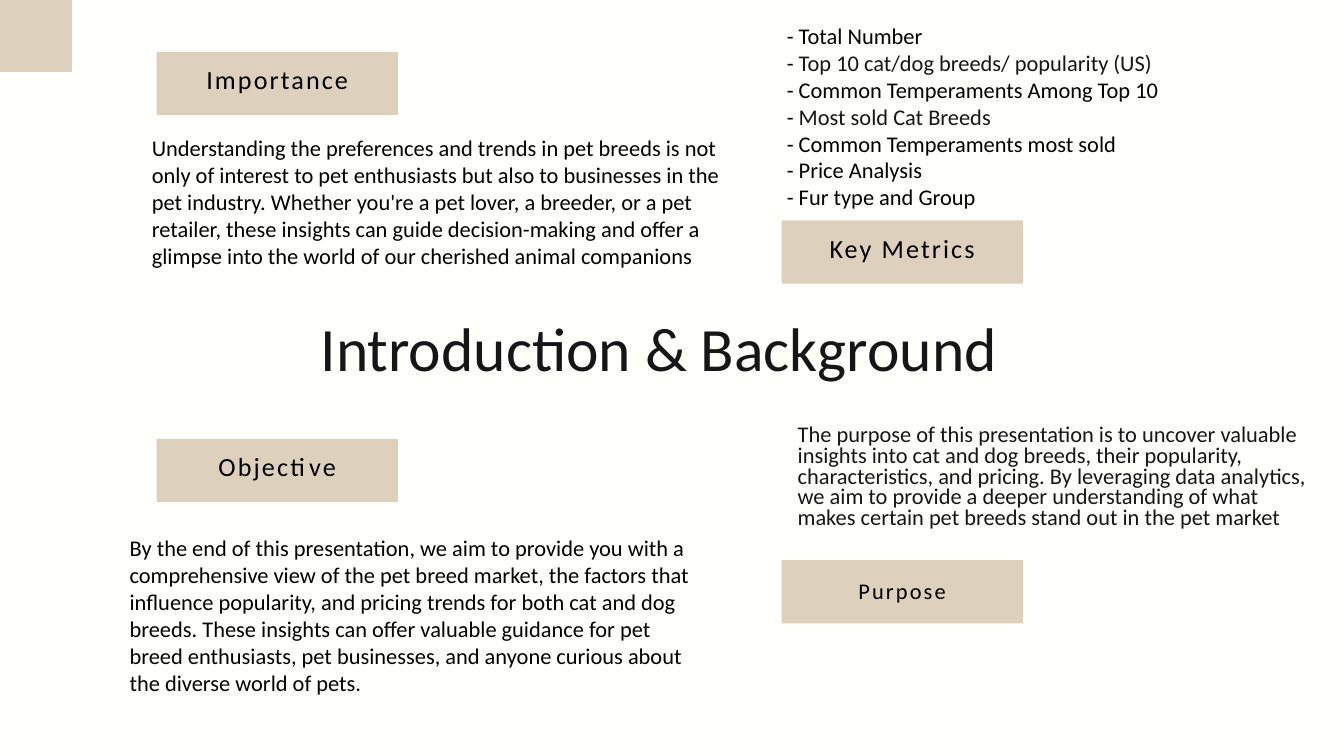
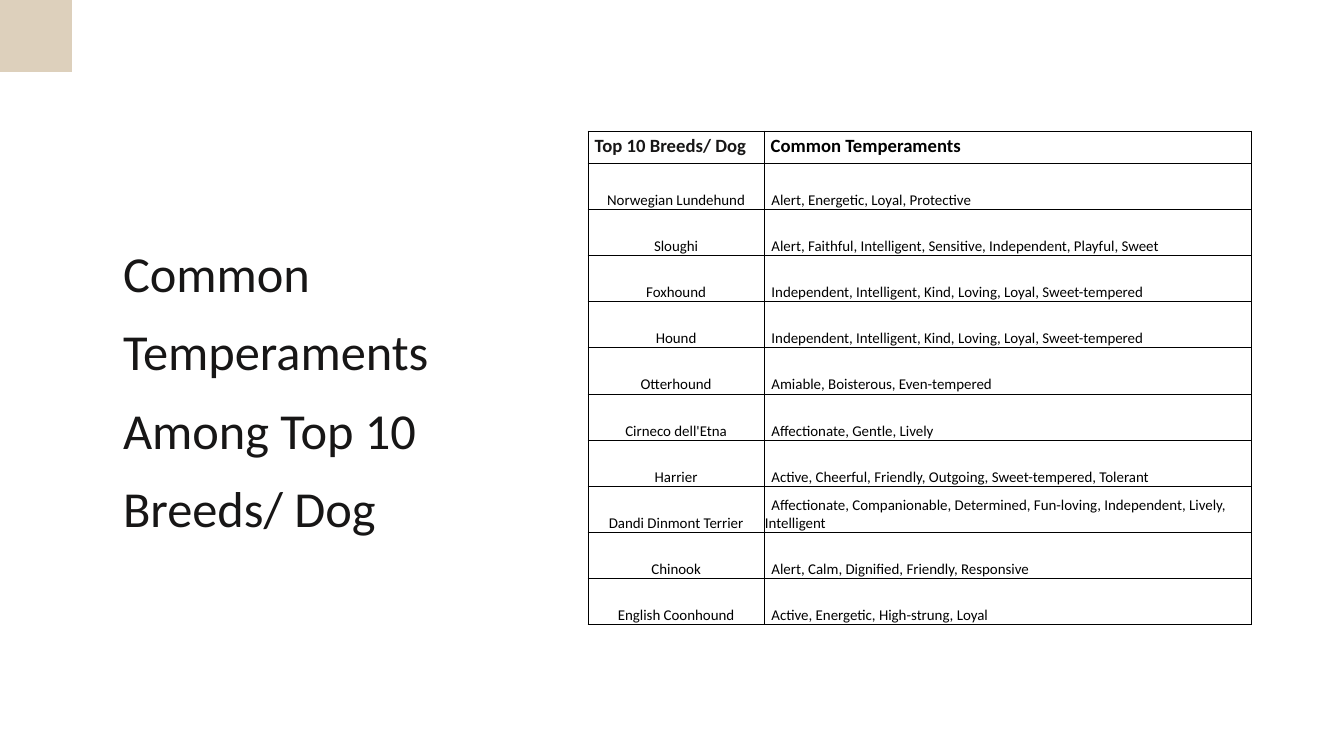
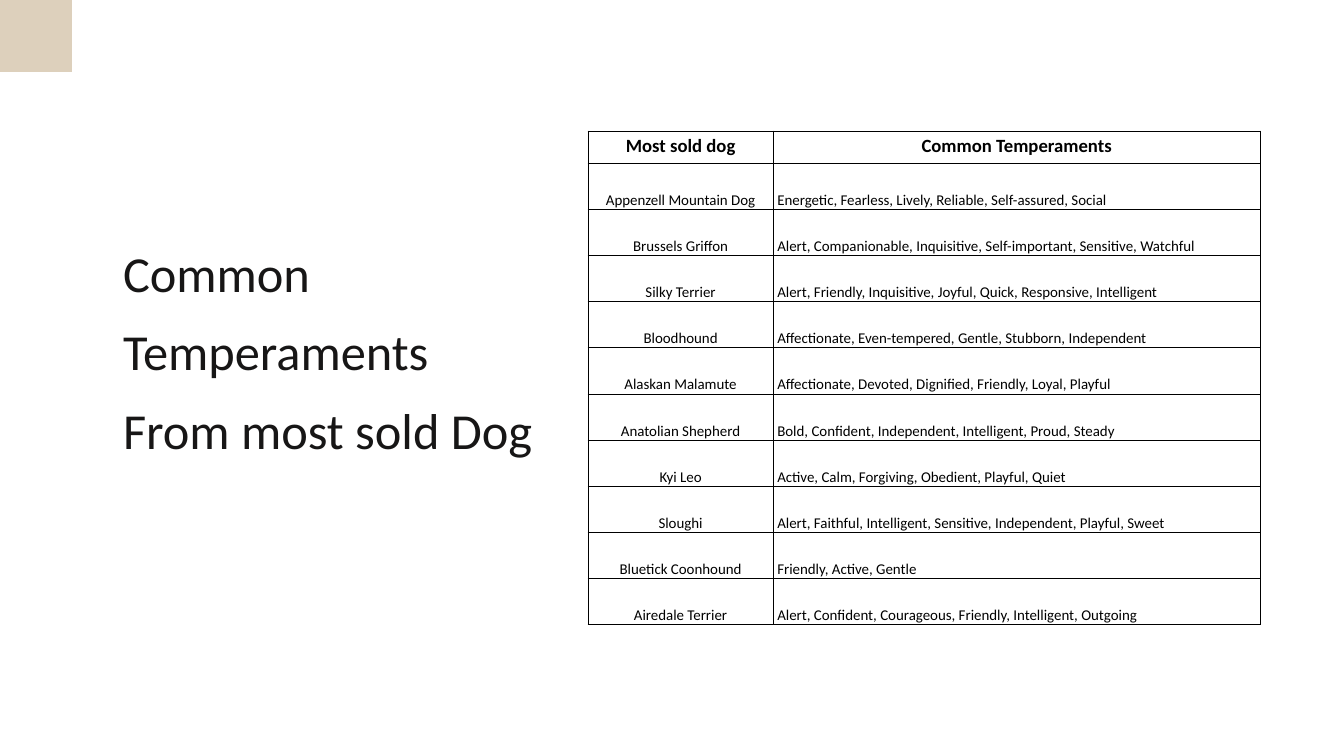
from lxml import etree
from pptx import Presentation
from pptx.dml.color import RGBColor
from pptx.enum.shapes import MSO_SHAPE
from pptx.enum.text import MSO_ANCHOR, MSO_AUTO_SIZE, PP_ALIGN
from pptx.oxml.ns import qn
from pptx.util import Cm, Pt

RECT = MSO_SHAPE.RECTANGLE
TOP, MIDDLE, BOTTOM = MSO_ANCHOR.TOP, MSO_ANCHOR.MIDDLE, MSO_ANCHOR.BOTTOM
LEFT, CENTER = PP_ALIGN.LEFT, PP_ALIGN.CENTER
FIXED = MSO_AUTO_SIZE.NONE

FONT = "Calibri"
COLORS = {"cream": "FFFFFC", "white": "FFFFFF", "sand": "DDD0BC",
          "ink": "171616", "black": "000000"}
PAD = (0.25, 0.13, 0.25, 0.13)
FLUSH = (0, 0, 0, 0)
TIGHT = (0.03, 0.03, 0.03, 0)

METRICS = [
    "- Total Number",
    [("-", "black"), (" Top 10 cat/dog breeds/ popularity (US)", "ink")],
    "- Common Temperaments Among Top 10",
    [("- ", "black"), ("Most sold Cat Breeds", "ink")],
    "- Common Temperaments most sold",
    "- Price Analysis",
    "- Fur type and Group",
]
TOPICS = [
    {"tag": "Importance", "at": (5.92, 1.96), "box": (-0.43, 2.99, 22.05, 5.38),
     "body": ["Understanding the preferences and trends in pet breeds is not only of "
              "interest to pet enthusiasts but also to businesses in the pet industry. "
              "Whether you're a pet lover, a breeder, or a pet retailer, these insights "
              "can guide decision-making and offer a glimpse into the world of our "
              "cherished animal companions"]},
    {"tag": "Key Metrics", "at": (29.54, 8.33), "box": (-0.05, -7.62, 17.12, 7.44),
     "body": METRICS},
    {"tag": "Objective", "at": (5.92, 16.59), "box": (-1.27, 3.48, 22.05, 6.4),
     "body": ["By the end of this presentation, we aim to provide you with a "
              "comprehensive view of the pet breed market, the factors that influence "
              "popularity, and pricing trends for both cat and dog breeds. These "
              "insights can offer valuable guidance for pet breed enthusiasts, pet "
              "businesses, and anyone curious about the diverse world of pets."]},
    {"tag": "Purpose", "at": (29.54, 21.18), "box": (0.61, -5.08, 19.79, 3.94),
     "size": 24, "style": {"color": "ink", "line": 22.4, "pad": FLUSH},
     "body": ["The purpose of this presentation is to uncover valuable insights into "
              "cat and dog breeds, their popularity, characteristics, and pricing. By "
              "leveraging data analytics, we aim to provide a deeper understanding of "
              "what makes certain pet breeds stand out in the pet market"]},
]
TOP_TEN = [
    ("Norwegian Lundehund", "Alert, Energetic, Loyal, Protective"),
    ("Sloughi", "Alert, Faithful, Intelligent, Sensitive, Independent, Playful, Sweet"),
    ("Foxhound", "Independent, Intelligent, Kind, Loving, Loyal, Sweet-tempered"),
    ("Hound", "Independent, Intelligent, Kind, Loving, Loyal, Sweet-tempered"),
    ("Otterhound", "Amiable, Boisterous, Even-tempered"),
    ("Cirneco dell'Etna", "Affectionate, Gentle, Lively"),
    ("Harrier", "Active, Cheerful, Friendly, Outgoing, Sweet-tempered, Tolerant"),
    ("Dandi Dinmont Terrier", "Affectionate, Companionable, Determined, Fun-loving, "
                              "Independent, Lively, Intelligent"),
    ("Chinook", "Alert, Calm, Dignified, Friendly, Responsive"),
    ("English Coonhound", "Active, Energetic, High-strung, Loyal"),
]
MOST_SOLD = [
    ("Appenzell Mountain Dog",
     "Energetic, Fearless, Lively, Reliable, Self-assured, Social"),
    ("Brussels Griffon",
     "Alert, Companionable, Inquisitive, Self-important, Sensitive, Watchful"),
    ("Silky Terrier",
     "Alert, Friendly, Inquisitive, Joyful, Quick, Responsive, Intelligent"),
    ("Bloodhound", "Affectionate, Even-tempered, Gentle, Stubborn, Independent"),
    ("Alaskan Malamute", "Affectionate, Devoted, Dignified, Friendly, Loyal, Playful"),
    ("Anatolian Shepherd", "Bold, Confident, Independent, Intelligent, Proud, Steady"),
    ("Kyi Leo", "Active, Calm, Forgiving, Obedient, Playful, Quiet"),
    ("Sloughi", "Alert, Faithful, Intelligent, Sensitive, Independent, Playful, Sweet"),
    ("Bluetick Coonhound", "Friendly, Active, Gentle"),
    ("Airedale Terrier",
     "Alert, Confident, Courageous, Friendly, Intelligent, Outgoing"),
]


def rgb(name):
    """Return the named colour."""
    return RGBColor.from_string(COLORS[name])


def write(frame, paras, size=24, color="black", bold=False, align=LEFT,
          line=None, track=0, indent=0):
    """Fill a text frame with paragraphs, each a string or a list of coloured runs."""
    for i, item in enumerate(paras):
        para = frame.paragraphs[0] if i == 0 else frame.add_paragraph()
        para.alignment = align
        if line:
            para.line_spacing = Pt(line)
        if indent:
            para._p.get_or_add_pPr().set("indent", str(Cm(indent)))
        for text, hue in [(item, color)] if isinstance(item, str) else item:
            run = para.add_run()
            run.text = text
            font = run.font
            font.name, font.size, font.bold = FONT, Pt(size), bold
            font.color.rgb = rgb(hue)
            if track:
                run._r.get_or_add_rPr().set("spc", str(round(track * 100)))


def inset(item, pad):
    """Set the left, top, right and bottom margins of a frame or cell."""
    (item.margin_left, item.margin_top,
     item.margin_right, item.margin_bottom) = map(Cm, pad)


def setup(frame, pad=PAD, anchor=TOP):
    """Make a frame wrap at a fixed size."""
    frame.word_wrap, frame.auto_size = True, FIXED
    frame.vertical_anchor = anchor
    inset(frame, pad)


def block(slide, box):
    """Draw a plain sand rectangle."""
    shape = slide.shapes.add_shape(RECT, *map(Cm, box))
    shape.shadow.inherit = False
    shape.fill.solid()
    shape.fill.fore_color.rgb = rgb("sand")
    shape.line.fill.background()
    return shape


def start(deck, back, box, title, size):
    """Add a slide with its background, corner square and title."""
    slide = deck.slides.add_slide(deck.slide_layouts[5])
    slide.background.fill.solid()
    slide.background.fill.fore_color.rgb = rgb(back)
    block(slide, (0, 0, 2.72, 2.72))
    head = slide.shapes.title
    head.left, head.top, head.width, head.height = map(Cm, box)
    setup(head.text_frame, FLUSH)
    write(head.text_frame, title, size=size, color="ink", line=84)
    return slide


def topic(slide, tag, at, box, body, size=28, style=None):
    """Draw a tag and its body text, placed relative to the tag."""
    left, top = at
    label = block(slide, (left, top, 9.12, 2.39)).text_frame
    setup(label, FLUSH, MIDDLE)
    write(label, [tag], size=size, align=CENTER, line=25.2, track=2.3)
    dx, dy, width, height = box
    area = (left + dx, top + dy, width, height)
    frame = slide.shapes.add_textbox(*map(Cm, area)).text_frame
    style = dict(style or {})
    setup(frame, style.pop("pad", PAD))
    write(frame, body, **style)


def border(cell):
    """Give a cell thin black edges and no fill."""
    props = cell._tc.get_or_add_tcPr()
    for side in ("lnL", "lnR", "lnT", "lnB"):
        edge = etree.SubElement(props, qn(f"a:{side}"), w=str(Pt(1)))
        fill = etree.SubElement(edge, qn("a:solidFill"))
        etree.SubElement(fill, qn("a:srgbClr"), val=COLORS["black"])
    cell.fill.background()


def grid(slide, box, first, heads, rows, align, indent):
    """Draw a table of breeds and temperaments with a bold header row."""
    left, top, width, height = box
    table = slide.shapes.add_table(len(rows) + 1, 2, *map(Cm, box)).table
    table.first_row = table.horz_banding = False
    for col, span in zip(table.columns, (first, width - first)):
        col.width = Cm(span)
    tall = 1.22
    for i, row in enumerate(table.rows):
        row.height = Cm((height - tall) / len(rows) if i else tall)
    for cell, head in zip(table.rows[0].cells, heads):
        border(cell)
        inset(cell, PAD)
        write(cell.text_frame, [head], size=20, bold=True, align=align)
    for row, pair in zip(list(table.rows)[1:], rows):
        for cell, text, side, shift in zip(row.cells, pair, (CENTER, LEFT), (0, indent)):
            border(cell)
            inset(cell, TIGHT)
            cell.vertical_anchor = BOTTOM
            write(cell.text_frame, [text], size=16, align=side, indent=shift)


def intro(deck):
    """Build the slide with four topics around the title."""
    slide = start(deck, "cream", (12.12, 11.53, 26.57, 2.87),
                  ["Introduction & Background"], 66)
    for item in TOPICS:
        topic(slide, **item)


def breeds(deck, title, tall, first, heads, rows, align, indent):
    """Build a slide with a title at left and a table at right."""
    slide = start(deck, "white", (4.65, 8.48, 16, tall), title, 54)
    grid(slide, (22.23, 4.95, first + 18.42, 18.67), first, heads, rows, align, indent)


def main():
    """Build and save the deck."""
    deck = Presentation()
    deck.slide_width, deck.slide_height = Cm(50.8), Cm(28.58)
    intro(deck)
    breeds(deck, ["Common Temperaments Among Top 10 Breeds/ Dog"], 11.73, 6.65,
           ([("Top 10 Breeds/ Dog", "ink")], "Common Temperaments"),
           TOP_TEN, LEFT, 0.25)
    breeds(deck, ["Common Temperaments", "From most sold Dog"], 8.69, 6.99,
           ("Most sold dog", "Common Temperaments"), MOST_SOLD, CENTER, 0.13)
    deck.save("out.pptx")


if __name__ == "__main__":
    main()
